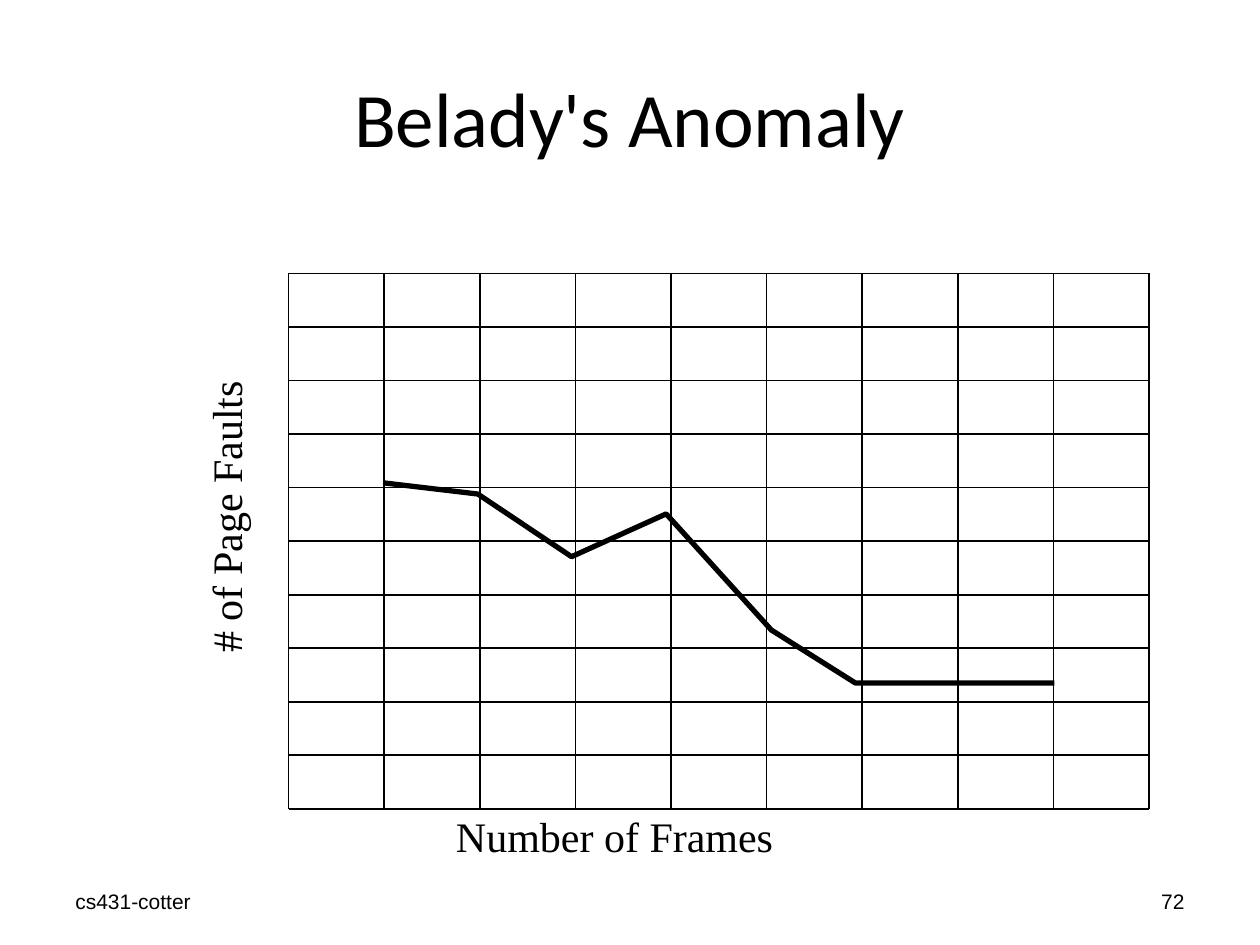
import pptx
import pptx.dml.color
import pptx.enum.shapes
import pptx.enum.text
import pptx.oxml.ns
import pptx.util
from lxml import etree

BLACK = pptx.dml.color.RGBColor(0, 0, 0)
WHITE = pptx.dml.color.RGBColor(255, 255, 255)
ALIGN = pptx.enum.text.PP_ALIGN
ANCHOR = pptx.enum.text.MSO_ANCHOR
COLUMNS, ROWS = 9, 10
FAULT_CURVE = [(0.99, 3.91), (1.98, 4.12), (2.96, 5.29), (3.95, 4.49),
               (5.05, 6.66), (5.93, 7.65), (7.02, 7.65), (8.01, 7.65)]


class SlideBuilder:
    """Draws styled elements on one slide, placed by percent or by graph cell."""

    def __init__(self, deck):
        self.width, self.height = deck.slide_width, deck.slide_height
        self.page = deck.slides.add_slide(deck.slide_layouts[5])
        self.page.background.fill.solid()
        self.page.background.fill.fore_color.rgb = WHITE
        self.left, self.top = pptx.util.Inches(2.29), pptx.util.Inches(2.17)
        self.column = pptx.util.Inches(6.83) / COLUMNS
        self.row = pptx.util.Inches(4.25) / ROWS

    def area(self, left, top, width, height):
        """Turn percentages of the slide into lengths."""
        sides = (self.width, self.height, self.width, self.height)
        return [round(side * share / 100)
                for side, share in zip(sides, (left, top, width, height))]

    def cell(self, column, row):
        """Turn a graph column and row into a position."""
        return round(self.left + column * self.column), round(self.top + row * self.row)

    def set_text(self, box, text, font, size, align=ALIGN.LEFT, anchor=ANCHOR.TOP, wrap=True):
        """Put one formatted paragraph in a box."""
        frame = box.text_frame
        for name, value in {"word_wrap": wrap, "vertical_anchor": anchor}.items():
            setattr(frame, name, value)
        para = frame.paragraphs[0]
        para.alignment = align
        span = para.add_run()
        span.text = text
        for name, value in {"name": font, "size": pptx.util.Pt(size)}.items():
            setattr(span.font, name, value)
        span.font.color.rgb = BLACK

    def title(self, text, place):
        """Place and fill the title placeholder."""
        box = self.page.shapes.title
        sides = ("left", "top", "width", "height")
        for name, value in zip(sides, self.area(*place)):
            setattr(box, name, value)
        self.set_text(box, text, "Calibri", 44, ALIGN.CENTER, ANCHOR.MIDDLE)

    def footer(self, text, place, align):
        """Add a small text at the foot of the slide."""
        box = self.page.shapes.add_textbox(*self.area(*place))
        self.set_text(box, text, "Arial", 12, align, ANCHOR.MIDDLE)

    def axis_label(self, text, place, rotation=0):
        """Add an axis label, turned if asked."""
        box = self.page.shapes.add_textbox(*self.area(*place))
        box.rotation = rotation
        self.set_text(box, text, "Times New Roman", 24, wrap=False)
        box.text_frame.auto_size = pptx.enum.text.MSO_AUTO_SIZE.SHAPE_TO_FIT_TEXT

    def stroke(self, shape, weight):
        """Give a shape a black line."""
        shape.line.color.rgb = BLACK
        shape.line.width = pptx.util.Pt(weight)

    def grid_line(self, start, end):
        """Add a thin line between two graph cells."""
        line = self.page.shapes.add_connector(
            pptx.enum.shapes.MSO_CONNECTOR.STRAIGHT, *self.cell(*start), *self.cell(*end))
        self.stroke(line, 1)
        etree.SubElement(line._element.spPr, pptx.oxml.ns.qn("a:effectLst"))

    def curve(self, points):
        """Add a thick open line through graph points."""
        first, *others = [self.cell(*point) for point in points]
        builder = self.page.shapes.build_freeform(*first)
        builder.add_line_segments(others, close=False)
        shape = builder.convert_to_shape()
        shape.fill.background()
        self.stroke(shape, 3)
        shape.shadow.inherit = False


def main():
    """Build and save the slide."""
    deck = pptx.Presentation()
    deck.slide_width, deck.slide_height = pptx.util.Inches(10), pptx.util.Inches(7.5)
    slide = SlideBuilder(deck)
    slide.footer("cs431-cotter", (5, 92.67, 23.3, 5.33), ALIGN.LEFT)
    slide.footer("72", (71.7, 92.67, 23.3, 5.33), ALIGN.RIGHT)
    slide.title("Belady's Anomaly", (5, 4, 90, 16.67))
    for column in range(COLUMNS + 1):
        slide.grid_line((column, 0), (column, ROWS))
    for row in range(ROWS + 1):
        slide.grid_line((0, row), (COLUMNS, row))
    slide.axis_label("# of Page Faults", (6.1, 51.33, 23.6, 6.67), 270)
    slide.axis_label("Number of Frames", (35.2, 85.07, 27.2, 6.67))
    slide.curve(FAULT_CURVE)
    deck.save("out.pptx")


if __name__ == "__main__":
    main()
